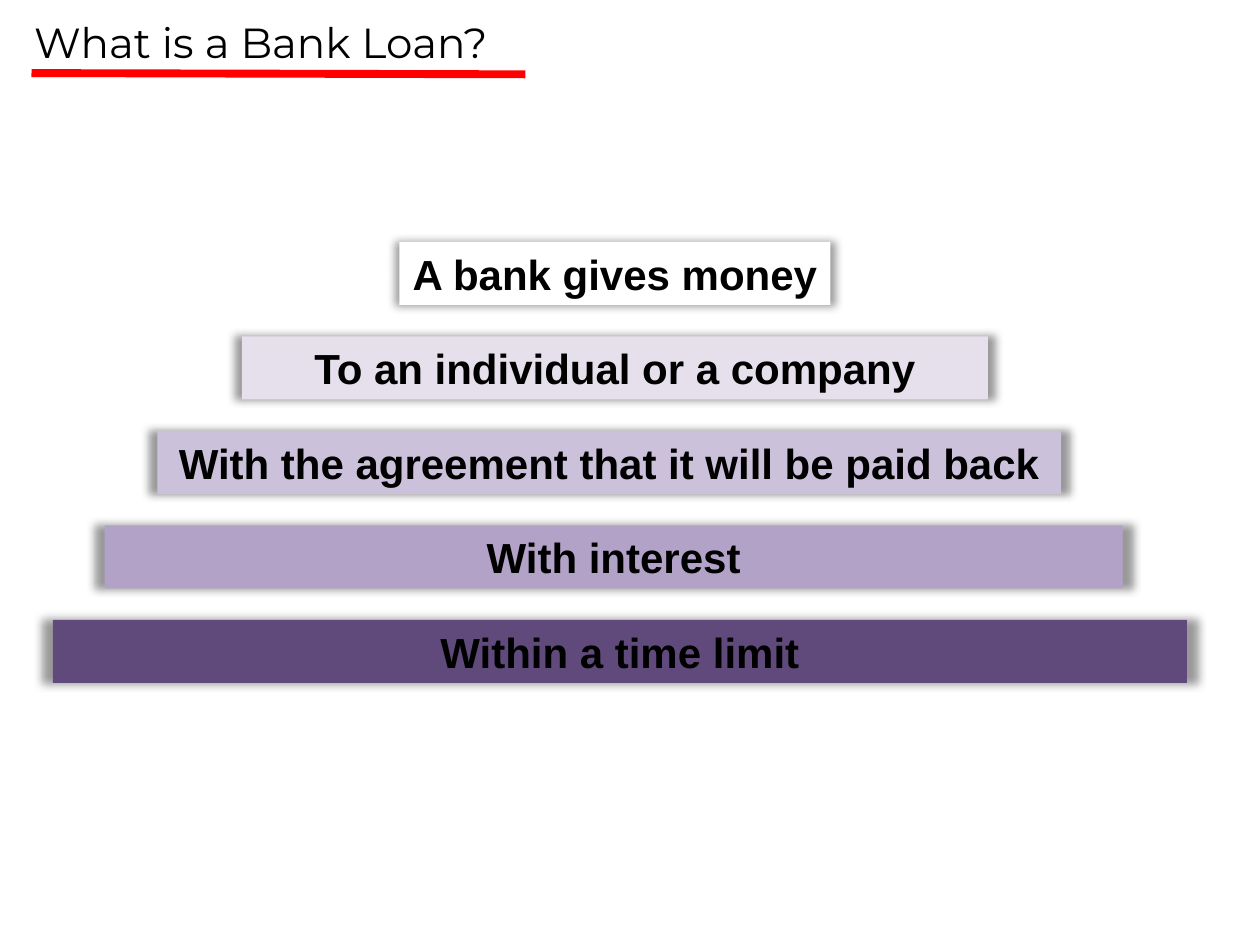
from lxml import etree
from pptx import Presentation
from pptx.dml.color import RGBColor
from pptx.enum.shapes import MSO_CONNECTOR, MSO_SHAPE
from pptx.enum.text import MSO_ANCHOR, PP_ALIGN
from pptx.oxml import parse_xml
from pptx.oxml.ns import nsdecls, qn
from pptx.util import Inches, Pt

STRAIGHT = MSO_CONNECTOR.STRAIGHT
RECTANGLE = MSO_SHAPE.RECTANGLE
MIDDLE = MSO_ANCHOR.MIDDLE
LEFT, CENTER = PP_ALIGN.LEFT, PP_ALIGN.CENTER

BLACK = RGBColor(0x00, 0x00, 0x00)
RED = RGBColor(0xFF, 0x00, 0x00)
WHITE = RGBColor(0xFF, 0xFF, 0xFF)
PALE_LILAC = RGBColor(0xE6, 0xE0, 0xEC)
LILAC = RGBColor(0xCC, 0xC1, 0xDA)
MAUVE = RGBColor(0xB3, 0xA2, 0xC7)
PURPLE = RGBColor(0x60, 0x4A, 0x7B)

TITLE_BOX = (0.17, 0.08, 5.42, 0.5)
PYRAMID_TOP, STEP_PITCH, STEP_HEIGHT = 1.92, 0.75, 0.5
STEPS = [
    ("A bank gives money", 3.17, 3.42, WHITE),
    ("To an individual or a company", 1.92, 5.92, PALE_LILAC),
    ("With the agreement that it will be paid back", 1.25, 7.17, LILAC),
    ("With interest", 0.83, 8.08, MAUVE),
    ("Within a time limit", 0.42, 9, PURPLE),
]


def write(frame, text, font, align, bold):
    """Write one line of 24 point black text, centred vertically."""
    frame.vertical_anchor = MIDDLE
    paragraph = frame.paragraphs[0]
    paragraph.alignment = align
    run = paragraph.add_run()
    run.text = text
    run.font.name = font
    run.font.size = Pt(24)
    run.font.bold = bold
    run.font.color.rgb = BLACK


def add_glow_shadow(shape):
    """Give the shape a soft shadow slightly larger than itself."""
    shape.shadow.inherit = False
    effects = shape._element.spPr.find(qn("a:effectLst"))
    effects.append(parse_xml(
        f'<a:outerShdw {nsdecls("a")} blurRad="{Pt(5)}" sx="102000" sy="102000" '
        'algn="ctr" rotWithShape="0"><a:srgbClr val="000000">'
        '<a:alpha val="40000"/></a:srgbClr></a:outerShdw>'))


def add_heading(slide, left, top, width, height):
    """Place the title with its red underline in the given box."""
    title = slide.shapes.title
    title.left, title.top = Inches(left), Inches(top)
    title.width, title.height = Inches(width), Inches(height)
    title.text_frame.word_wrap = True
    write(title.text_frame, "What is a Bank Loan?", "Montserrat", LEFT, False)

    bottom = top + height
    underline = slide.shapes.add_connector(
        STRAIGHT, Inches(left + 0.08), Inches(bottom),
        Inches(left + 4), Inches(bottom + 0.01))
    underline.line.color.rgb = RED
    underline.line.width = Pt(4.5)
    etree.SubElement(underline._element.spPr, qn("a:effectLst"))


def add_step(slide, text, color, left, top, width, height):
    """Place one shaded bar of the pyramid in the given box."""
    bar = slide.shapes.add_shape(
        RECTANGLE, Inches(left), Inches(top), Inches(width), Inches(height))
    bar.fill.solid()
    bar.fill.fore_color.rgb = color
    bar.line.fill.background()
    add_glow_shadow(bar)
    bar.text_frame.word_wrap = False
    write(bar.text_frame, text, "Arial", CENTER, True)


def main():
    """Build and save the slide."""
    deck = Presentation()
    deck.slide_width, deck.slide_height = Inches(10), Inches(7.5)
    slide = deck.slides.add_slide(deck.slide_layouts.get_by_name("Title Only"))
    add_heading(slide, *TITLE_BOX)
    for level, (text, left, width, color) in enumerate(STEPS):
        top = PYRAMID_TOP + level * STEP_PITCH
        add_step(slide, text, color, left, top, width, STEP_HEIGHT)
    deck.save("out.pptx")


if __name__ == "__main__":
    main()
